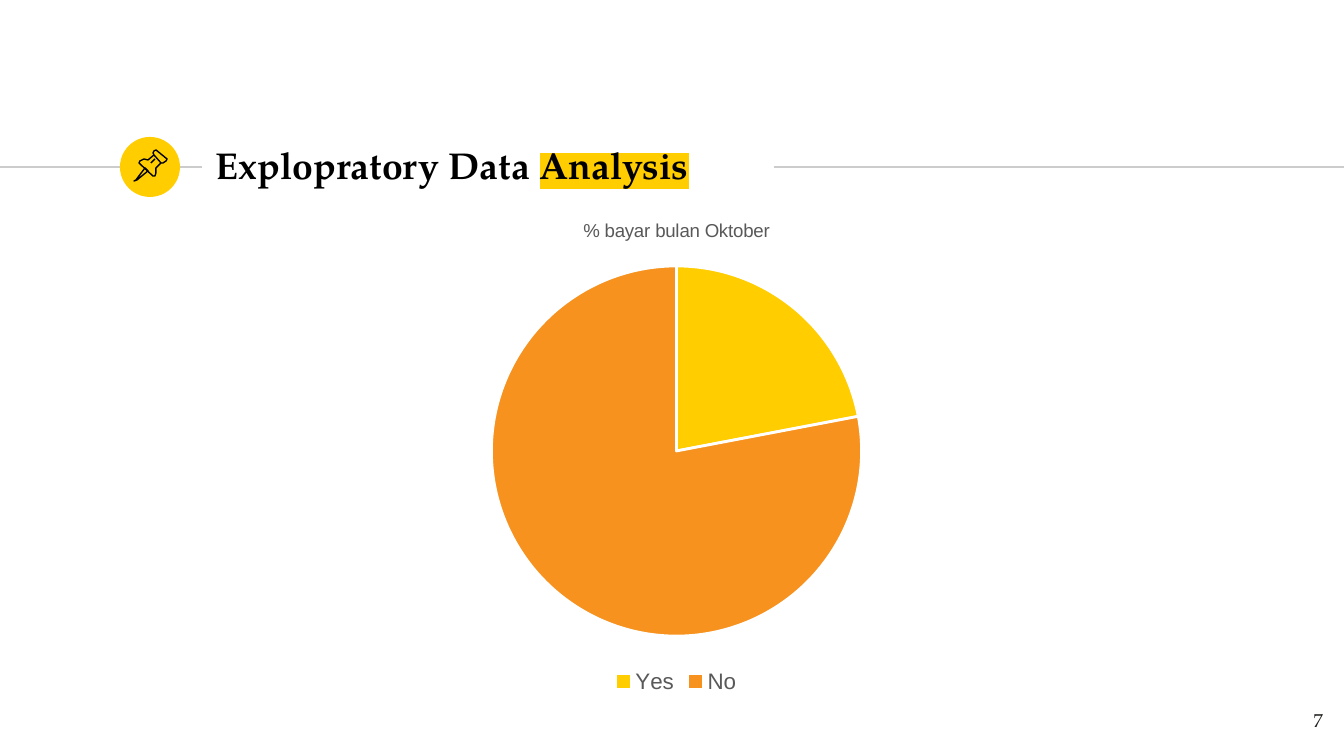
"""Build the data analysis slide with its pie chart of October payments."""
from lxml.etree import SubElement
from pptx import Presentation
from pptx.chart.data import CategoryChartData
from pptx.dml.color import RGBColor
from pptx.enum.chart import XL_CHART_TYPE, XL_LEGEND_POSITION
from pptx.enum.shapes import MSO_CONNECTOR, MSO_SHAPE
from pptx.enum.text import MSO_ANCHOR, PP_ALIGN
from pptx.oxml.ns import qn
from pptx.util import Pt


class Theme:
    gold = RGBColor.from_string("FFCD00")
    orange = RGBColor.from_string("F6921D")
    black = RGBColor.from_string("000000")
    ink = RGBColor.from_string("1D1D1B")
    gray = RGBColor.from_string("595959")
    rule = RGBColor.from_string("CCCCCC")
    white = RGBColor.from_string("FFFFFF")
    serif, sans = "TeX Gyre Pagella", "Arial"
    head, label, small = Pt(20), Pt(12), Pt(10)
    thin, gap = Pt(0.75), Pt(1.5)


SCALE = 914400 / 134.4


def px(*nums):
    return [round(n * SCALE) for n in nums]


def style(font, name, size, color, bold=False):
    font.name, font.size, font.bold = name, size, bold
    font.color.rgb = color


deck = Presentation()
deck.slide_width, deck.slide_height = px(1344, 756)
slide = deck.slides.add_slide(deck.slide_layouts[6])
shapes = slide.shapes

for left, right in ((0, 202), (774, 1344)):
    line = shapes.add_connector(MSO_CONNECTOR.STRAIGHT, *px(left, 167, right, 167))
    line.line.color.rgb = Theme.rule
    line.line.width = Theme.thin
    SubElement(line._element.spPr, qn("a:effectLst"))

disc = shapes.add_shape(MSO_SHAPE.OVAL, *px(120, 137, 60, 60))
disc.shadow.inherit = False
disc.fill.solid()
disc.fill.fore_color.rgb = Theme.gold
disc.line.fill.background()

needle = [(145, 168), (136, 180), (134, 181), (137, 180), (148, 171)]
cap = [(154, 155), (161, 163), (163, 163), (166, 161), (167, 159), (156, 150), (154, 151), (153, 153)]
body = [(154, 155), (148, 160), (144, 159), (140, 161), (139, 163), (153, 176), (155, 176),
        (156, 173), (156, 168), (161, 163)]
crease = [(151, 163), (155, 159)]
pin = shapes.add_group_shape()
for points, closed in ((needle, True), (cap, True), (body, False), (crease, False)):
    pen = pin.shapes.build_freeform(*points[0], scale=SCALE)
    pen.add_line_segments(points[1:], close=closed)
    part = pen.convert_to_shape()
    part.shadow.inherit = False
    part.fill.background()
    part.line.color.rgb = Theme.black
    part.line.width = Theme.thin

frames = []
for box in ((203, 132, 570, 65), (1255, 698, 81, 58)):
    frame = shapes.add_textbox(*px(*box)).text_frame
    frame.word_wrap = True
    frame.margin_left, frame.margin_top, frame.margin_right, frame.margin_bottom = px(13, 13, 13, 13)
    frames.append(frame)
title, number = frames

title.vertical_anchor = MSO_ANCHOR.MIDDLE
para = title.paragraphs[0]
style(para.font, Theme.serif, Theme.head, Theme.black, True)
para.add_run().text = "Explopratory Data "
marked = para.add_run()
marked.text = "Analysis"
mark = SubElement(marked._r.get_or_add_rPr(), qn("a:highlight"))
SubElement(mark, qn("a:srgbClr"), val=str(Theme.gold))

para = number.paragraphs[0]
para.text = "7"
para.alignment = PP_ALIGN.RIGHT
style(para.font, Theme.serif, Theme.small, Theme.ink)

data = CategoryChartData()
data.categories = ["Yes", "No"]
data.add_series("% bayar bulan Oktober", (22, 78))
chart = shapes.add_chart(XL_CHART_TYPE.PIE, *px(301, 198, 751, 501), data).chart
style(chart.font, Theme.sans, Theme.small, Theme.black)
chart.has_title = True
para = chart.chart_title.text_frame.paragraphs[0]
para.text = "% bayar bulan Oktober"
style(para.font, Theme.sans, Theme.small, Theme.gray)
chart.chart_title.include_in_layout = False
chart.has_legend = True
chart.legend.position = XL_LEGEND_POSITION.BOTTOM
chart.legend.include_in_layout = False
style(chart.legend.font, Theme.sans, Theme.label, Theme.gray)
plot = chart.plots[0]
plot.vary_by_categories = True
for i, color in enumerate((Theme.gold, Theme.orange)):
    slice = plot.series[0].points[i].format
    slice.fill.solid()
    slice.fill.fore_color.rgb = color
    slice.line.color.rgb = Theme.white
    slice.line.width = Theme.gap

deck.save("out.pptx")
